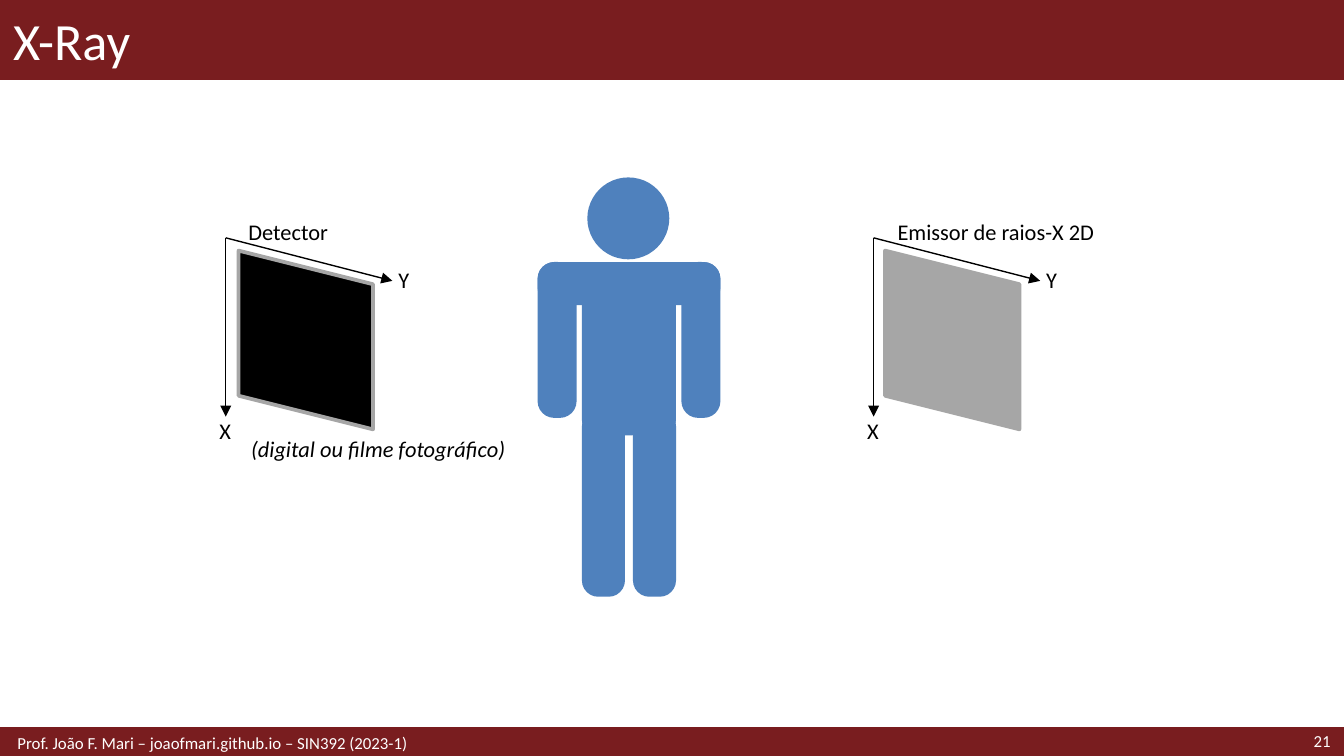
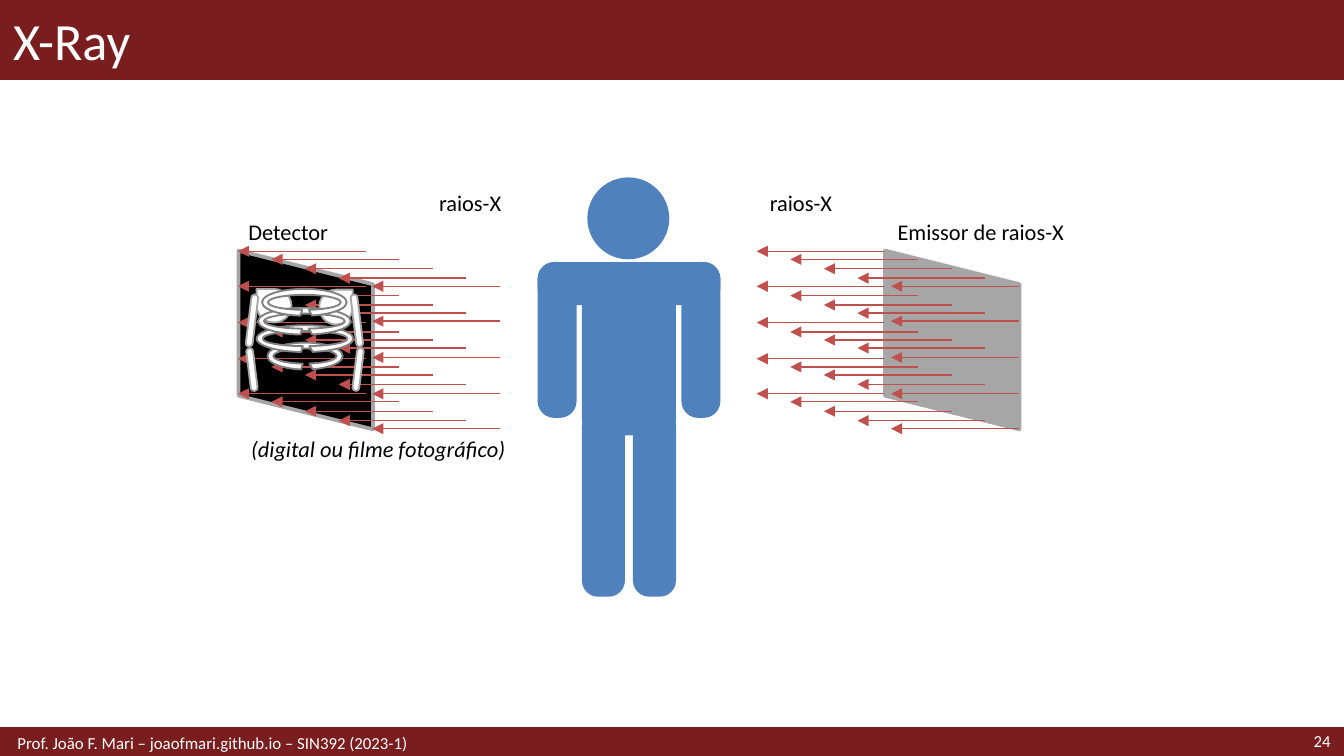
from typing import NamedTuple

from lxml import etree
from pptx import Presentation
from pptx.dml.color import RGBColor
from pptx.enum.shapes import MSO_CONNECTOR, MSO_SHAPE
from pptx.enum.text import MSO_ANCHOR, MSO_AUTO_SIZE, PP_ALIGN
from pptx.oxml.ns import qn
from pptx.util import Pt

PX = 9144  # 100 px to the inch
WIDE = 1000
FONT = "Calibri"
COLORS = {
    "gold": "C3A63B", "wine": "791D1F", "white": "FFFFFF", "black": "000000",
    "blue": "4F81BD", "gray": "A6A6A6", "dark": "808080", "red": "C0504D",
}

RECT = MSO_SHAPE.RECTANGLE
ROUND = MSO_SHAPE.ROUNDED_RECTANGLE
OVAL = MSO_SHAPE.OVAL
SKEW = MSO_SHAPE.PARALLELOGRAM
TEAR = MSO_SHAPE.TEAR
ARC = MSO_SHAPE.BLOCK_ARC
STRAIGHT = MSO_CONNECTOR.STRAIGHT
LEFT, CENTER, RIGHT = PP_ALIGN.LEFT, PP_ALIGN.CENTER, PP_ALIGN.RIGHT
MIDDLE, TOP = MSO_ANCHOR.MIDDLE, MSO_ANCHOR.TOP
GROW, FIXED = MSO_AUTO_SIZE.SHAPE_TO_FIT_TEXT, MSO_AUTO_SIZE.NONE


class Box(NamedTuple):
    left: int
    top: int
    width: int
    height: int


class Part(NamedTuple):
    kind: int
    box: Box
    fill: str
    line: str = ""
    weight: int = 1
    adj: tuple[float, ...] = ()
    turn: int = 0
    flip: str = ""


class Label(NamedTuple):
    text: str
    box: Box
    size: int = 12
    color: str = "black"
    align: int = LEFT
    inset: int = 10
    italic: bool = False
    anchor: int = TOP
    fit: int = GROW


class Side(NamedTuple):
    """Places of the panel, of its axes and of its first ray's tip."""
    panel: int
    axis: int
    tip: int
    fill: str


BANDS = [
    Part(RECT, Box(0, 0, WIDE, 20), "gold", "gold"),
    Part(RECT, Box(0, 0, WIDE, 59), "wine", "wine"),
    Part(RECT, Box(0, 542, WIDE, 21), "wine", "wine", 2),
]

BODY = [
    Part(ROUND, Box(400, 195, 29, 116), "blue", adj=(0.43,)),
    Part(ROUND, Box(452, 143, 32, 136), "blue", adj=(0.39,), turn=90),
    Part(ROUND, Box(507, 195, 29, 116), "blue", adj=(0.43,)),
    Part(ROUND, Box(433, 195, 70, 129), "blue"),
    Part(ROUND, Box(433, 305, 32, 139), "blue", adj=(0.38,)),
    Part(OVAL, Box(437, 132, 61, 61), "blue"),
    Part(ROUND, Box(471, 305, 32, 139), "blue", adj=(0.38,)),
]

RIBS = [Box(199, 255, 56, 20), Box(191, 242, 72, 20),
        Box(192, 229, 69, 20), Box(195, 215, 63, 20)]
ARMS = [(Box(185, 219, 5, 39), 7, ""), (Box(185, 259, 5, 32), 353, "H"),
        (Box(264, 259, 5, 32), 7, "HV"), (Box(263, 219, 5, 39), 353, "V")]
BONES = [
    Part(TEAR, Box(191, 215, 26, 25), "white", "gray", flip="H"),
    Part(TEAR, Box(237, 216, 26, 25), "white", "gray", turn=90, flip="H"),
    *[Part(ARC, rib, "white", "dark", adj=(63.9, 35.89, 0.22)) for rib in RIBS],
    *[Part(ROUND, arm, "white", "gray", adj=(0.5,), turn=turn, flip=flip)
      for arm, turn, flip in ARMS],
]

SOURCE = Side(642, 650, 563, "gray")
TARGET = Side(161, 168, 177, "black")
NOTES = [
    Label("Detector", Box(175, 162, 205, 21)),
    Label("(digital ou filme fotográfico)", Box(177, 324, 205, 21), italic=True),
]
BEAMS = [
    Label("raios-X", Box(563, 141, 86, 21)),
    Label("raios-X", Box(287, 141, 86, 21), align=RIGHT),
]


def rgb(name: str) -> RGBColor:
    return RGBColor.from_string(COLORS[name])


def scale(box: Box) -> list[int]:
    return [side * PX for side in box]


def draw(shapes, part: Part) -> None:
    shape = shapes.add_shape(part.kind, *scale(part.box))
    shape.shadow.inherit = False
    shape.fill.solid()
    shape.fill.fore_color.rgb = rgb(part.fill)
    if part.line:
        shape.line.color.rgb = rgb(part.line)
        shape.line.width = Pt(part.weight)
    else:
        shape.line.fill.background()
    for i, value in enumerate(part.adj):
        shape.adjustments[i] = value
    shape.rotation = part.turn
    for axis in part.flip:
        shape.element.spPr.find(qn("a:xfrm")).set("flip" + axis, "1")


def write(shapes, label: Label) -> None:
    box = shapes.add_textbox(*scale(label.box))
    frame = box.text_frame
    frame.word_wrap = True
    frame.auto_size = label.fit
    frame.vertical_anchor = label.anchor
    frame.margin_left = label.inset * PX
    frame.margin_right = 0 if label.fit == GROW else label.inset * PX
    frame.margin_top = frame.margin_bottom = 0
    para = frame.paragraphs[0]
    para.alignment = label.align
    run = para.add_run()
    run.text = label.text
    run.font.name = FONT
    run.font.size = Pt(label.size)
    run.font.italic = label.italic
    run.font.color.rgb = rgb(label.color)


def arrow(shapes, start: tuple[int, int], end: tuple[int, int], color: str) -> None:
    wire = shapes.add_connector(STRAIGHT, *[at * PX for at in start + end])
    wire.line.color.rgb = rgb(color)
    wire.line.width = Pt(0.75)
    props = wire.element.spPr
    etree.SubElement(props.find(qn("a:ln")), qn("a:tailEnd"), type="triangle")
    etree.SubElement(props, qn("a:effectLst"))


def group(shapes):
    return shapes.add_group_shape().shapes


def panel(shapes, side: Side) -> None:
    box = Box(side.panel, 203, 133, 100)
    draw(shapes, Part(SKEW, box, side.fill, "gray", 2, turn=90))


def axes(shapes, left: int) -> None:
    """Draw the X and Y axes that start at left."""
    inner = group(shapes)
    start = (left, 177)
    arrow(inner, start, (left, 310), "black")
    arrow(inner, start, (left + 124, 209), "black")
    write(inner, Label("X", Box(left - 24, 310, 47, 21), align=CENTER, inset=0))
    write(inner, Label("Y", Box(left + 124, 198, 17, 21), align=CENTER, inset=0))


def rays(shapes, tip: int) -> None:
    """Draw five rows of five rays, each row falling along the panel's slant."""
    for row in range(5):
        for col in range(5):
            x = tip + 25 * col
            y = 187 + round((106 * row + 26 * col) / 4)
            arrow(shapes, (x + 95, y), (x, y), "red")


def begin(deck, number: int):
    """Add a slide with bands, title, footer and body; return its shapes."""
    shapes = deck.slides.add_slide(deck.slide_layouts[6]).shapes
    for band in BANDS:
        draw(shapes, band)
    fixed = {"color": "white", "anchor": MIDDLE, "fit": FIXED}
    write(shapes, Label("X-Ray", Box(0, 0, WIDE, 59), 28, **fixed))
    write(shapes, Label(str(number), Box(886, 541, 114, 21), 9,
                        align=RIGHT, **fixed))
    write(shapes, Label("Prof. João F. Mari – joaofmari.github.io – SIN392 (2023-1)",
                        Box(0, 542, 689, 21), 9, inset=13, **fixed))
    body = group(shapes)
    for part in BODY:
        draw(body, part)
    return shapes


def setup(deck) -> None:
    shapes = begin(deck, 21)
    emitter = Label("Emissor de raios-X 2D", Box(658, 162, 205, 21))
    for side in (SOURCE, TARGET):
        panel(shapes, side)
    for label in [emitter, *NOTES]:
        write(shapes, label)
    for side in (SOURCE, TARGET):
        axes(shapes, side.axis)


def scan(deck) -> None:
    shapes = begin(deck, 24)
    for side, bones in [(SOURCE, []), (TARGET, BONES)]:
        inner = group(shapes)
        panel(inner, side)
        rays(inner, side.tip)
        for bone in bones:
            draw(inner, bone)
    emitter = Label("Emissor de raios-X", Box(658, 162, 205, 21))
    for label in [emitter, *NOTES, *BEAMS]:
        write(shapes, label)


def main() -> None:
    deck = Presentation()
    deck.slide_width = WIDE * PX
    deck.slide_height = WIDE * PX * 9 // 16
    setup(deck)
    scan(deck)
    deck.save("out.pptx")


if __name__ == "__main__":
    main()
